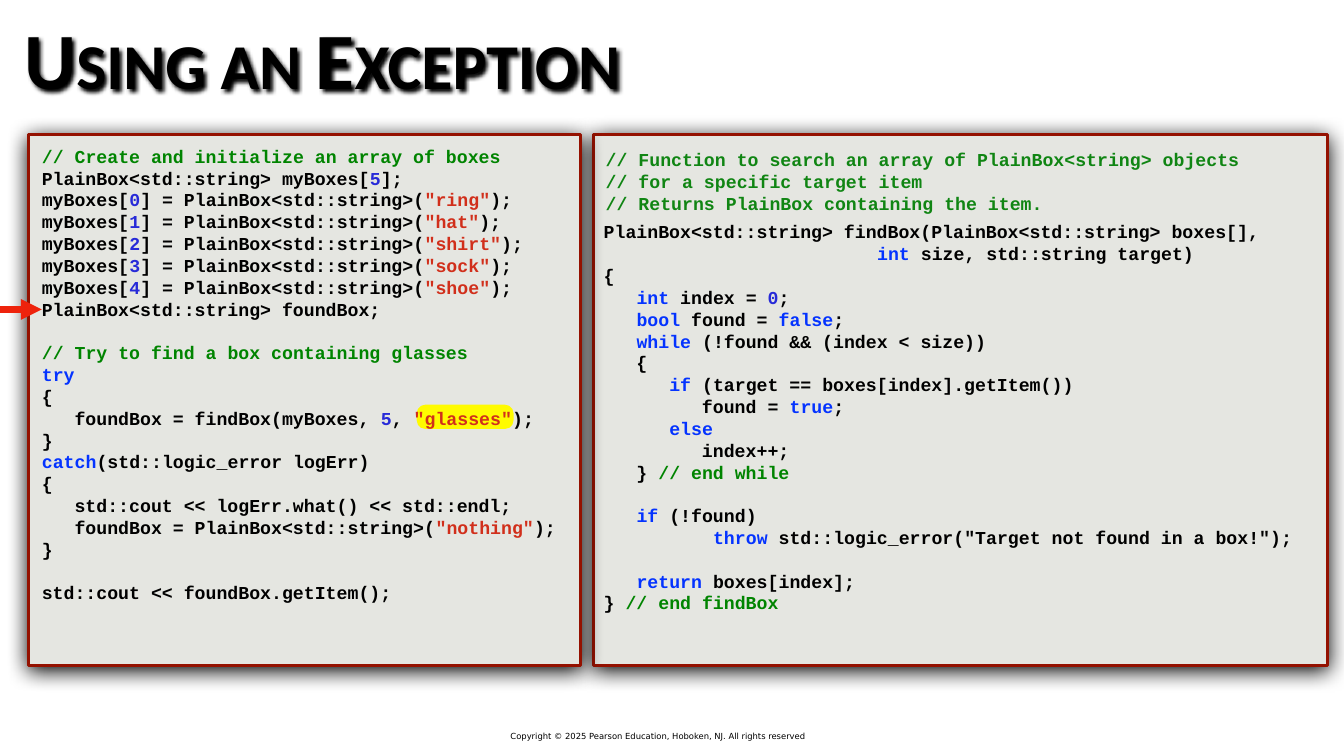
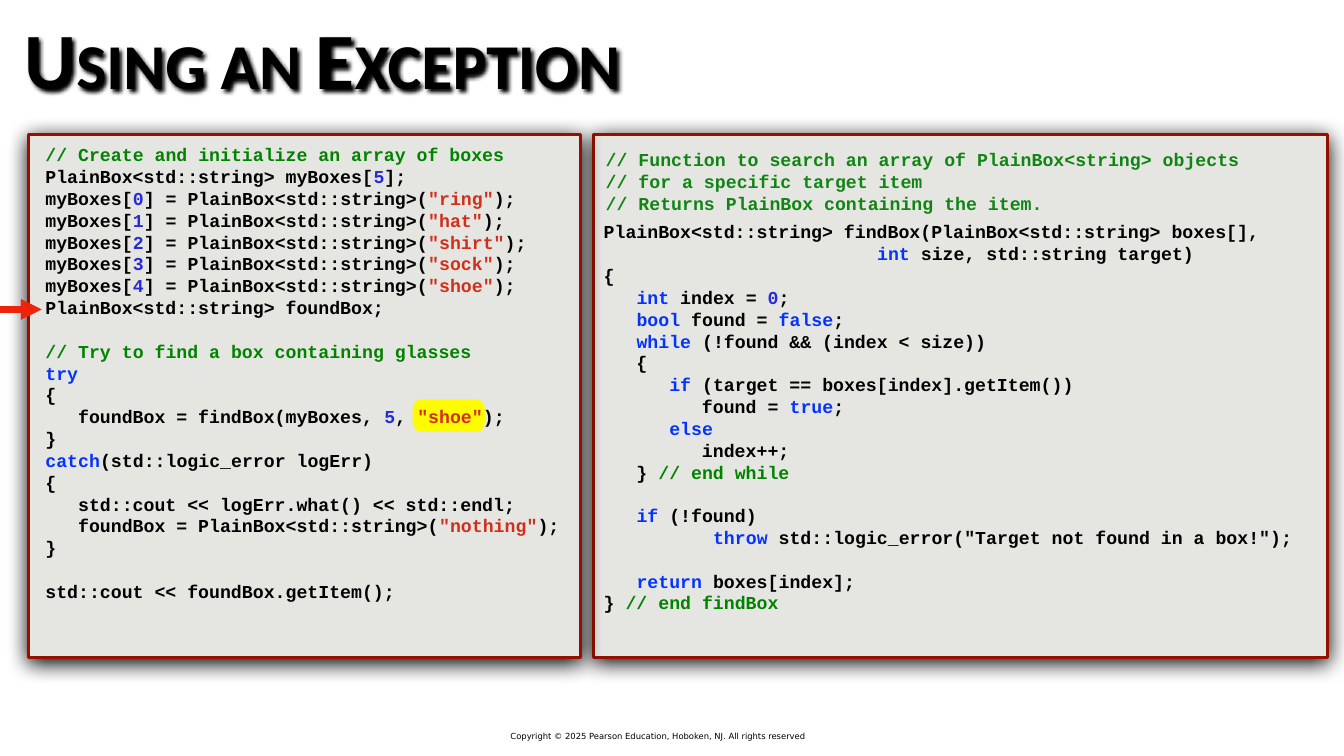
import pptx
import pptx.dml.color
import pptx.enum.shapes
import pptx.enum.text
import pptx.oxml
import pptx.oxml.ns
import pptx.util

Inches = pptx.util.Inches
Pt = pptx.util.Pt
ANCHOR = pptx.enum.text.MSO_ANCHOR
AUTO_SIZE = pptx.enum.text.MSO_AUTO_SIZE
SHAPE = pptx.enum.shapes.MSO_SHAPE

COLORS = {
    "plain": "000000",
    "comment": "008400",
    "heading": "108513",
    "keyword": "0433FF",
    "number": "272AD8",
    "string": "D12F1B",
    "panel": "E5E6E1",
    "border": "941100",
    "highlight": "FFFB00",
    "arrow": "EE230C",
}
CODE_FONT = "Courier New"
CODE_SIZE = 26
PANEL_TOP = 2.67

# In code lines, `kind:text` gives text the colour of that kind.
HEADING_LINES = [
    "// Function to search an array of PlainBox<string> objects",
    "// for a specific target item",
    "// Returns PlainBox containing the item.",
]
FUNCTION_LINES = [
    "PlainBox<std::string> findBox(PlainBox<std::string> boxes[],",
    "                         `keyword:int` size, std::string target)",
    "{",
    "   `keyword:int` index = `number:0`;",
    "   `keyword:bool` found = `keyword:false`;",
    "   `keyword:while` (!found && (index < size))",
    "   {",
    "      `keyword:if` (target == boxes[index].getItem())",
    "         found = `keyword:true`;",
    "      `keyword:else`",
    "         index++;",
    "   } `comment:// end while`",
    "   ",
    "   `keyword:if` (!found)\n"
    '          `keyword:throw` std::logic_error("Target not found in a box!");',
    "   ",
    "   `keyword:return` boxes[index];",
    "} `comment:// end findBox`",
]


def caller_lines(target):
    """Lines of the calling code, which searches for the target."""
    items = ["ring", "hat", "shirt", "sock", "shoe"]
    lines = [
        "`comment:// Create and initialize an array of boxes`",
        "PlainBox<std::string> myBoxes[`number:5`];",
        *(f'myBoxes[`number:{index}`] = PlainBox<std::string>(`string:"{item}"`);'
          for index, item in enumerate(items)),
        "PlainBox<std::string> foundBox;",
        "",
        "`comment:// Try to find a box containing glasses`",
        "`keyword:try`",
        "{",
        f'   foundBox = findBox(myBoxes, `number:5`, `string:"{target}"`);',
        "}",
        "`keyword:catch`(std::logic_error logErr)",
        "{",
        "   std::cout << logErr.what() << std::endl;",
        '   foundBox = PlainBox<std::string>(`string:"nothing"`);',
        "}",
        "",
        "std::cout << foundBox.getItem();",
    ]
    return ["   " + line for line in lines]


def rgb(name):
    return pptx.dml.color.RGBColor.from_string(COLORS[name])


def add_shadow(shape, blur, distance, degrees):
    """Give a shape a black outer shadow; blur and distance are in points."""
    shape._element.spPr.append(pptx.oxml.parse_xml(
        f'<a:effectLst {pptx.oxml.ns.nsdecls("a")}>'
        f'<a:outerShdw blurRad="{Pt(blur)}" dist="{Pt(distance)}" '
        f'dir="{degrees * 60000}" rotWithShape="0">'
        '<a:srgbClr val="000000"/></a:outerShdw></a:effectLst>'))


def write_text(shape, lines, *, font=CODE_FONT, size=CODE_SIZE, color="plain", bold=True,
               anchor=ANCHOR.TOP, wrap=True, grow=True, insets=(0.08, 0.08)):
    """Fill a shape with lines of marked-up text."""
    frame = shape.text_frame
    frame.word_wrap = wrap
    frame.auto_size = AUTO_SIZE.SHAPE_TO_FIT_TEXT if grow else AUTO_SIZE.NONE
    frame.vertical_anchor = anchor
    frame.margin_left = frame.margin_right = Inches(insets[0])
    frame.margin_top = frame.margin_bottom = Inches(insets[1])
    for number, line in enumerate(lines):
        paragraph = frame.add_paragraph() if number else frame.paragraphs[0]
        paragraph.alignment = pptx.enum.text.PP_ALIGN.LEFT
        for position, segment in enumerate(line.split("`")):
            kind = color
            if position % 2:
                kind, _, segment = segment.partition(":")
            for row, text in enumerate(segment.split("\n")):
                if row:
                    paragraph.add_line_break()
                if text:
                    run = paragraph.add_run()
                    run.text = text
                    run.font.name = font
                    run.font.size = Pt(size)
                    run.font.bold = bold
                    run.font.color.rgb = rgb(kind)


def add_text(slide, box, lines, **text_format):
    shape = slide.shapes.add_textbox(*map(Inches, box))
    write_text(shape, lines, **text_format)


def add_filled_shape(slide, kind, box, fill):
    shape = slide.shapes.add_shape(kind, *map(Inches, box))
    shape.fill.solid()
    shape.fill.fore_color.rgb = rgb(fill)
    shape.line.fill.background()
    return shape


def add_panel(slide, box):
    """Bordered grey panel behind a block of code."""
    panel = add_filled_shape(slide, SHAPE.RECTANGLE, box, "panel")
    panel.line.color.rgb = rgb("border")
    panel.line.width = Pt(4)
    add_shadow(panel, 31, 6, 90)


def add_title(slide, text):
    title = slide.shapes.title
    title.left, title.top, title.width, title.height = map(Inches, (0.4, 0, 23.6, 2.29))
    write_text(title, [text], font="Calibri", size=114, anchor=ANCHOR.MIDDLE, grow=False)
    title.text_frame.paragraphs[0].runs[0].font._element.set("cap", "small")
    add_shadow(title, 5, 4, 45)


def add_footer(slide):
    add_text(slide, (10.13, 14.49, 6.77, 0.24),
             ["Copyright © 2025 Pearson Education, Hoboken, NJ. All rights reserved"],
             font="DejaVu Sans", size=12, bold=False, anchor=ANCHOR.MIDDLE, insets=(0, 0.02))


def add_function_panel(slide, box):
    """Right panel: heading comment and the search function."""
    left, top = box[:2]
    add_panel(slide, box)
    add_text(slide, (left + 0.13, top + 1.63, 14.56, 8.08), FUNCTION_LINES)
    add_text(slide, (left + 0.17, top + 0.21, 13.24, 1.42), HEADING_LINES,
             color="heading", anchor=ANCHOR.MIDDLE, wrap=False)


def add_caller_panel(slide, box, target, code_offset, highlight_box, rounding):
    """Left panel: calling code, with its search target highlighted."""
    left, top = box[:2]
    add_panel(slide, box)
    across, down, width, height = highlight_box
    highlight = add_filled_shape(slide, SHAPE.ROUNDED_RECTANGLE,
                                 (left + across, top + down, width, height), "highlight")
    highlight.adjustments[0] = rounding
    highlight.shadow.inherit = False
    add_text(slide, (left + code_offset[0], top + code_offset[1], 11.6, 8.92),
             caller_lines(target))


def add_step_arrow(slide, y):
    """Red arrow that enters from the left edge and marks the current line."""
    arrow = slide.shapes.add_connector(pptx.enum.shapes.MSO_CONNECTOR.STRAIGHT,
                                       Inches(-0.5), Inches(y), Inches(0.83), Inches(y))
    arrow.line.color.rgb = rgb("arrow")
    arrow.line.width = Pt(10)
    namespace = pptx.oxml.ns.nsdecls("a")
    arrow.line._get_or_add_ln().append(
        pptx.oxml.parse_xml(f'<a:tailEnd {namespace} type="triangle"/>'))
    arrow._element.spPr.append(pptx.oxml.parse_xml(f"<a:effectLst {namespace}/>"))


def add_exception_slide(presentation, panel_height, **caller):
    title_only = presentation.slide_layouts[5]
    slide = presentation.slides.add_slide(title_only)
    add_footer(slide)
    add_title(slide, "Using an Exception")
    add_function_panel(slide, (11.77, PANEL_TOP, 14.58, panel_height))
    add_caller_panel(slide, (0.56, PANEL_TOP, 10.96, panel_height), **caller)
    add_step_arrow(slide, 6.14)


def main():
    presentation = pptx.Presentation()
    presentation.slide_width = Inches(26.67)
    presentation.slide_height = Inches(15)
    add_exception_slide(presentation, 10.53, target="glasses", code_offset=(-0.46, 0.13),
                        highlight_box=(7.71, 5.36, 1.92, 0.48), rounding=0.35)
    add_exception_slide(presentation, 10.37, target="shoe", code_offset=(-0.39, 0.1),
                        highlight_box=(7.63, 5.25, 1.43, 0.65), rounding=0.27)
    presentation.save("out.pptx")


if __name__ == "__main__":
    main()
